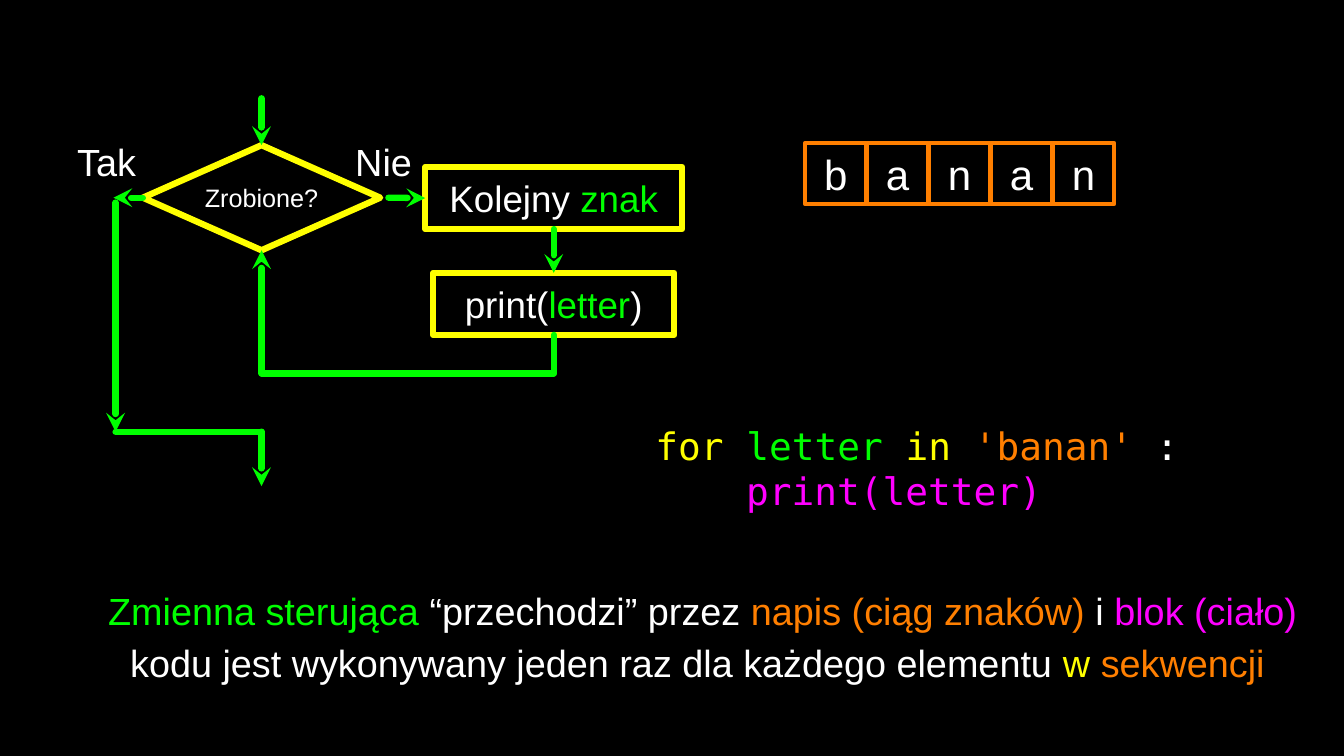
from dataclasses import dataclass

from lxml import etree
from pptx import Presentation
from pptx import util as u
from pptx.dml.color import RGBColor
from pptx.enum import shapes, text
from pptx.oxml.ns import qn


@dataclass(frozen=True)
class Theme:
    black: str = "000000"
    white: str = "FFFFFF"
    green: str = "00FF00"
    yellow: str = "FFFF00"
    orange: str = "FF7F00"
    magenta: str = "FF00FF"
    sans: str = "Arial"
    mono: str = "DejaVu Sans Mono"
    small: int = 24
    box: int = 35
    body: int = 36
    cell: int = 40
    thick: int = 6
    thin: int = 4


T = Theme()
FRAME = dict(margin_left=0, margin_right=0, margin_top=0, margin_bottom=0,
             word_wrap=True, vertical_anchor=text.MSO_ANCHOR.MIDDLE)
CENTER = text.PP_ALIGN.CENTER


class Board:
    """A slide with a grid of 100 columns by 100 rows."""

    def __init__(self, prs, theme):
        self.theme = theme
        self.col, self.row = prs.slide_width / 100, prs.slide_height / 100
        self.s = prs.slides.add_slide(prs.slide_layouts[6])
        fill = self.s.background.fill
        fill.solid()
        fill.fore_color.rgb = RGBColor.from_string(theme.black)

    def place(self, x, y):
        return round(x * self.col), round(y * self.row)

    def fill_text(self, sp, paragraphs, size, font=None, align=CENTER, spacing=None):
        """Fill a shape with paragraphs, each a list of (words, colour)."""
        tf = sp.text_frame
        for name, value in FRAME.items():
            setattr(tf, name, value)
        for i, runs in enumerate(paragraphs):
            p = tf.paragraphs[0] if i == 0 else tf.add_paragraph()
            for name, value in dict(alignment=align, line_spacing=spacing).items():
                setattr(p, name, value)
            for words, color in runs:
                r = p.add_run()
                r.text = words
                style = dict(size=u.Pt(size), name=font or self.theme.sans)
                for name, value in style.items():
                    setattr(r.font, name, value)
                r.font.color.rgb = RGBColor.from_string(color)
        return tf

    def label(self, x, y, w, h, paragraphs, **style):
        sp = self.s.shapes.add_textbox(*self.place(x, y), *self.place(w, h))
        return self.fill_text(sp, paragraphs, self.theme.body, **style)

    def outline(self, kind, x, y, w, h, color, width, runs, size):
        sp = self.s.shapes.add_shape(kind, *self.place(x, y), *self.place(w, h))
        sp.shadow.inherit = False
        sp.fill.background()
        self.stroke(sp.line, color, width)
        self.fill_text(sp, [runs], size)
        return sp

    def stroke(self, line, color, width):
        line.color.rgb = RGBColor.from_string(color)
        line.width = u.Pt(width)
        ln = line._get_or_add_ln()
        ln.set("cap", "rnd")
        etree.SubElement(ln, qn("a:round"))

    def flow(self, start, end, arrow=True, begin=None, finish=None):
        """Line from start to end; begin and finish are (shape, side)."""
        cx = self.s.shapes.add_connector(
            shapes.MSO_CONNECTOR.STRAIGHT, *self.place(*start), *self.place(*end))
        self.stroke(cx.line, self.theme.green, self.theme.thick)
        if arrow:
            etree.SubElement(cx.line._get_or_add_ln(), qn("a:tailEnd"), type="stealth")
        etree.SubElement(cx._element.spPr, qn("a:effectLst"))
        if begin:
            cx.begin_connect(*begin)
        if finish:
            cx.end_connect(*finish)


def main():
    prs = Presentation()
    prs.slide_width, prs.slide_height = u.Inches(17.78), u.Inches(10)
    b = Board(prs, T)
    RECT, DIAMOND = shapes.MSO_SHAPE.RECTANGLE, shapes.MSO_SHAPE.DIAMOND

    # Flowchart: test on the left, loop body in the middle, exit at the far left
    test_x, body_x, exit_x = 19.46, 41.2, 8.6
    mid_y, loop_y, exit_y = 26.15, 49.4, 57.1

    def step(kind, center, y, w, h, runs, size):
        return b.outline(kind, center - w / 2, y, w, h, T.yellow, T.thick, runs, size)

    test = step(DIAMOND, test_x, 19.2, 17.66, 13.9, [("Zrobione?", T.white)], T.small)
    advance = step(RECT, body_x, 22.1, 19.12, 8.2,
                   [("Kolejny ", T.white), ("znak", T.green)], T.box)
    show = step(RECT, body_x, 36.1, 17.94, 8.2,
                [("print(", T.white), ("letter", T.green), (")", T.white)], T.box)

    # Into the test, through the body and back
    b.flow((test_x, 13), (test_x, 19.2), finish=(test, 0))
    b.flow((28.9, mid_y), (31.6, mid_y), finish=(advance, 1))
    b.flow((body_x, 30.3), (body_x, 36.1), begin=(advance, 2), finish=(show, 0))
    b.flow((body_x, 44.3), (body_x, loop_y), arrow=False, begin=(show, 2))
    b.flow((body_x, loop_y), (test_x, loop_y), arrow=False)
    b.flow((test_x, loop_y), (test_x, 33.1), finish=(test, 2))

    # Out of the loop
    b.flow((10.63, mid_y), (8.44, mid_y), begin=(test, 1))
    b.flow((exit_x, 26.8), (exit_x, exit_y))
    b.flow((exit_x, exit_y), (test_x, exit_y), arrow=False)
    b.flow((test_x, exit_y), (test_x, 64.3))

    # Branch labels
    for word, x, w in (("Tak", 5.23, 5.4), ("Nie", 26.32, 4.44)):
        b.label(x, 17.9, w, 6.8, [[(word, T.white)]])

    # The string, one letter to a cell
    for i, letter in enumerate("banan"):
        b.outline(RECT, 59.9 + 4.61 * i, 18.9, 4.56, 8.1, T.orange, T.thin,
                  [(letter, T.white)], T.cell)

    # Code, with the loop body indented by four characters
    tf = b.label(48.76, 55.6, 40.83, 12.5, [
        [("for", T.yellow), (" letter ", T.green), ("in", T.yellow),
         (" 'banan' ", T.orange), (":", T.white)],
        [("print(letter)", T.magenta)],
    ], font=T.mono, align=text.PP_ALIGN.LEFT)
    tf.paragraphs[1]._p.get_or_add_pPr().set("marL", str(u.Inches(1.2)))

    # Explanation
    b.label(7.2, 76.3, 89.37, 14.8, [[
        (" Zmienna sterująca ", T.green), ("“przechodzi” przez ", T.white),
        ("napis (ciąg znaków) ", T.orange), ("i ", T.white),
        ("blok (ciało)", T.magenta),
        (" kodu jest wykonywany jeden raz dla każdego elementu ", T.white),
        ("w ", T.yellow), ("sekwencji", T.orange),
    ]], spacing=1.15)

    prs.save("out.pptx")


if __name__ == "__main__":
    main()
